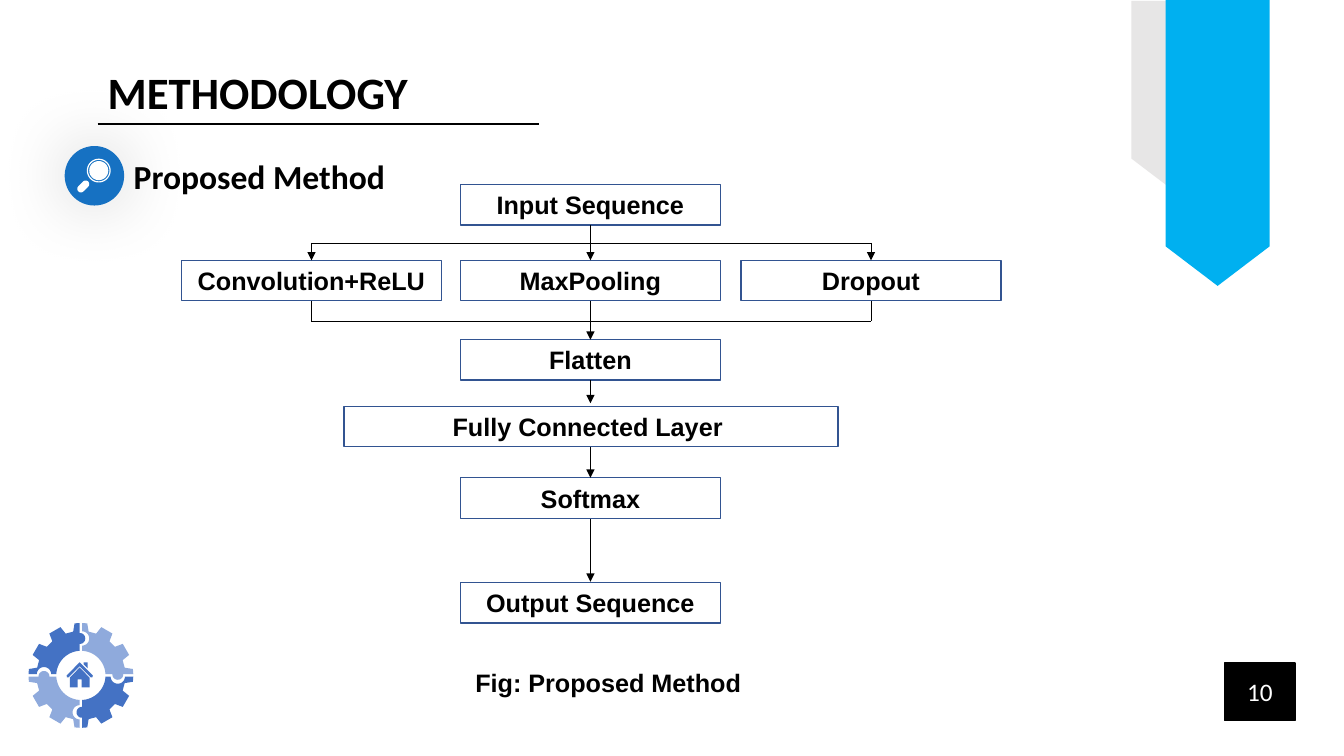
import math
import pptx
import pptx.dml.color
import pptx.enum.shapes
import pptx.enum.text
import pptx.oxml
import pptx.oxml.ns
import pptx.util

Cm = pptx.util.Cm
SHAPE = pptx.enum.shapes.MSO_SHAPE
ALIGN = pptx.enum.text.PP_ALIGN
ANCHOR = pptx.enum.text.MSO_ANCHOR

COLORS = {
    "black": "000000", "white": "FFFFFF", "border": "325491",
    "icon": "1671C2", "gear": "4472C4", "gear_light": "8FAADC",
    "ribbon": "00B0F0", "ribbon_back": "E7E6E6",
}
A = pptx.oxml.ns.nsdecls("a")


def rgb(name):
    return pptx.dml.color.RGBColor.from_string(COLORS[name])


def arc(center_x, center_y, radius, start, stop, steps=16):
    """Points along an arc; degrees run clockwise from the right."""
    angles = [math.radians(start + (stop - start) * i / steps) for i in range(steps + 1)]
    return [(center_x + radius * math.cos(a), center_y + radius * math.sin(a)) for a in angles]


class SlideBuilder:
    def __init__(self, slide, font="Calibri"):
        self.slide = slide
        self.shapes = slide.shapes
        self.font = font

    def set_text(self, shape, text, align=ALIGN.CENTER, color="black", **font_format):
        frame = shape.text_frame
        frame_format = {"word_wrap": True, "vertical_anchor": ANCHOR.MIDDLE,
                        "margin_top": 0, "margin_bottom": 0}
        for name, value in frame_format.items():
            setattr(frame, name, value)
        para = frame.paragraphs[0]
        para.alignment = align
        span = para.add_run()
        span.text = text
        font_format = {"name": self.font, "bold": True, **font_format}
        font_format["size"] = pptx.util.Pt(font_format["size"])
        for name, value in font_format.items():
            setattr(span.font, name, value)
        span.font.color.rgb = rgb(color)

    def paint(self, shape, fill, line=None):
        shape.shadow.inherit = False
        shape.fill.solid()
        shape.fill.fore_color.rgb = rgb(fill)
        if line:
            shape.line.color.rgb = rgb(line)
            shape.line.width = pptx.util.Pt(1)
        else:
            shape.line.fill.background()
        return shape

    def title(self, text, left, top, width, height):
        title = self.shapes.title
        place = {"left": left, "top": top, "width": width, "height": height}
        for name, value in place.items():
            setattr(title, name, Cm(value))
        self.set_text(title, text, align=ALIGN.LEFT, size=32)

    def label(self, text, left, top, width, height, size):
        box = self.shapes.add_textbox(Cm(left), Cm(top), Cm(width), Cm(height))
        self.set_text(box, text, align=ALIGN.LEFT, size=size)

    def shape(self, kind, left, top, width, height, fill, line=None):
        shape = self.shapes.add_shape(kind, Cm(left), Cm(top), Cm(width), Cm(height))
        return self.paint(shape, fill, line)

    def box(self, text, center, top, width=6.55, height=1.02, line="border"):
        box = self.shape(SHAPE.RECTANGLE, center - width / 2, top, width, height, "white", line)
        self.set_text(box, text, size=18, name="Arial")

    def line(self, x1, y1, x2, y2, width=0.5, arrow=False):
        line = self.shapes.add_connector(pptx.enum.shapes.MSO_CONNECTOR.STRAIGHT,
                                         Cm(x1), Cm(y1), Cm(x2), Cm(y2))
        line.line.color.rgb = rgb("black")
        line.line.width = pptx.util.Pt(width)
        properties = line.element.spPr
        if arrow:
            properties.get_or_add_ln().append(
                pptx.oxml.parse_xml(f'<a:tailEnd {A} type="triangle"/>'))
        properties.append(pptx.oxml.parse_xml(f"<a:effectLst {A}/>"))

    def outline(self, center_x, center_y, contours, fill):
        builder = None
        for contour in contours:
            points = [(Cm(center_x + x), Cm(center_y + y)) for x, y in contour]
            if builder is None:
                builder = self.shapes.build_freeform(*points[0])
            else:
                builder.move_to(*points[0])
            builder.add_line_segments(points[1:], close=True)
        self.paint(builder.convert_to_shape(), fill)

    def glow(self, shape, blur, opacity):
        effects = shape.element.spPr.find(pptx.oxml.ns.qn("a:effectLst"))
        effects.append(pptx.oxml.parse_xml(
            f'<a:outerShdw {A} blurRad="{pptx.util.Pt(blur)}" dist="0" algn="ctr" rotWithShape="0">'
            f'<a:srgbClr val="{COLORS["black"]}"><a:alpha val="{opacity * 1000}"/></a:srgbClr>'
            "</a:outerShdw>"))


def gear_quarter(turns):
    """Upper right quarter with a tab below and a notch at left, turned clockwise."""
    gap, hub, root, tip, joint = 0.03, 0.62, 1.12, 1.32, 0.93
    rim = [(0, tip)]
    for tooth in range(0, 91, 30):
        profile = [(-10, root), (-7, tip), (7, tip), (10, root)]
        rim += [(tooth + d, r) for d, r in profile if 0 < tooth + d < 90]
    rim.append((90, tip))
    outer = [(r * math.sin(math.radians(a)), -r * math.cos(math.radians(a))) for a, r in rim]
    ring = outer + arc(joint, -gap, 0.14, 0, 180) + arc(0, 0, hub, 0, -90)
    points = [(max(x, gap), y if y > 0 else min(y, -gap)) for x, y in ring]
    points += arc(gap, -joint, 0.18, 90, -90)
    for _ in range(turns):
        points = [(-y, x) for x, y in points]
    return points


def main():
    deck = pptx.Presentation()
    deck.slide_width, deck.slide_height = Cm(33.87), Cm(19.05)
    page = SlideBuilder(deck.slides.add_slide(deck.slide_layouts[5]))

    # Heading
    page.title("METHODOLOGY", 2.46, 1.5, 16.94, 1.63)
    page.line(2.46, 3.13, 13.59, 3.13, width=1.5)
    page.label("Proposed Method", 3.12, 3.8, 8.94, 1.27, size=24)

    # Magnifier icon
    disc = page.shape(SHAPE.OVAL, 1.63, 3.68, 1.5, 1.5, "icon")
    page.glow(disc, blur=51, opacity=18)
    rings = [arc(0, 0, radius, 0, 360, 40) for radius in (0.3, 0.27, 0.24)]
    handle = arc(-0.33, 0.34, 0.09, -135, 45) + arc(-0.45, 0.46, 0.09, 45, 225)
    page.outline(2.49, 4.3, rings + [handle], "white")

    # Flowchart boxes
    left, middle, right = 7.85, 14.88, 21.95
    page.box("Input Sequence", middle, 4.65)
    for text, center in (("Convolution+ReLU", left), ("MaxPooling", middle), ("Dropout", right)):
        page.box(text, center, 6.56)
    page.box("Flatten", middle, 8.56)
    page.box("Fully Connected Layer ", middle + 0.02, 10.24, width=12.45)
    page.box("Softmax", middle, 12.04)
    page.box("Output Sequence", middle, 14.68)
    page.box("Fig: Proposed Method", 15.33, 16.69, width=13.28, line="white")

    # Branching and merging lines
    split, merge = 6.12, 8.1
    for level in (split, merge):
        page.line(left, level, right, level)
    for center in (left, right):
        page.line(center, split, center, 6.56, arrow=True)
        page.line(center, 7.58, center, merge)

    # Arrows down the middle
    for start, end in ((5.67, 6.56), (7.58, 8.56), (9.58, 10.16), (11.26, 12.04), (13.08, 14.66)):
        page.line(middle, start, middle, end, arrow=True)

    # Page number
    number = page.shape(SHAPE.RECTANGLE, 30.86, 16.71, 1.78, 1.45, "black", "black")
    page.set_text(number, "10", color="white", size=18, bold=False)

    # Gear with house
    for turns in range(4):
        page.outline(2.04, 17.02, [gear_quarter(turns)], ("gear_light", "gear")[turns % 2])
    roof = [(0, -0.33), (0.33, 0), (0.32, 0.05), (0.28, 0.05), (0, -0.23),
            (-0.28, 0.05), (-0.32, 0.05), (-0.33, 0)]
    walls = [(0, -0.2), (0.25, 0.06), (0.25, 0.3), (0.05, 0.3), (0.05, 0.1),
             (-0.05, 0.1), (-0.05, 0.3), (-0.25, 0.3), (-0.25, 0.06)]
    chimney = [(0.1, -0.33), (0.2, -0.33), (0.2, -0.18), (0.1, -0.28)]
    page.outline(2.01, 17.02, [roof, walls, chimney], "gear")

    # Ribbons hanging from the top edge
    for left_edge, top, length, width, color in ((27.13, 1.4, 4.72, 1.96, "ribbon_back"),
                                                 (27.08, 2.29, 7.21, 2.62, "ribbon")):
        ribbon = page.shape(SHAPE.PENTAGON, left_edge, top, length, width, color)
        ribbon.rotation = 90
        ribbon.adjustments[0] = 0.38

    deck.save("out.pptx")


if __name__ == "__main__":
    main()
